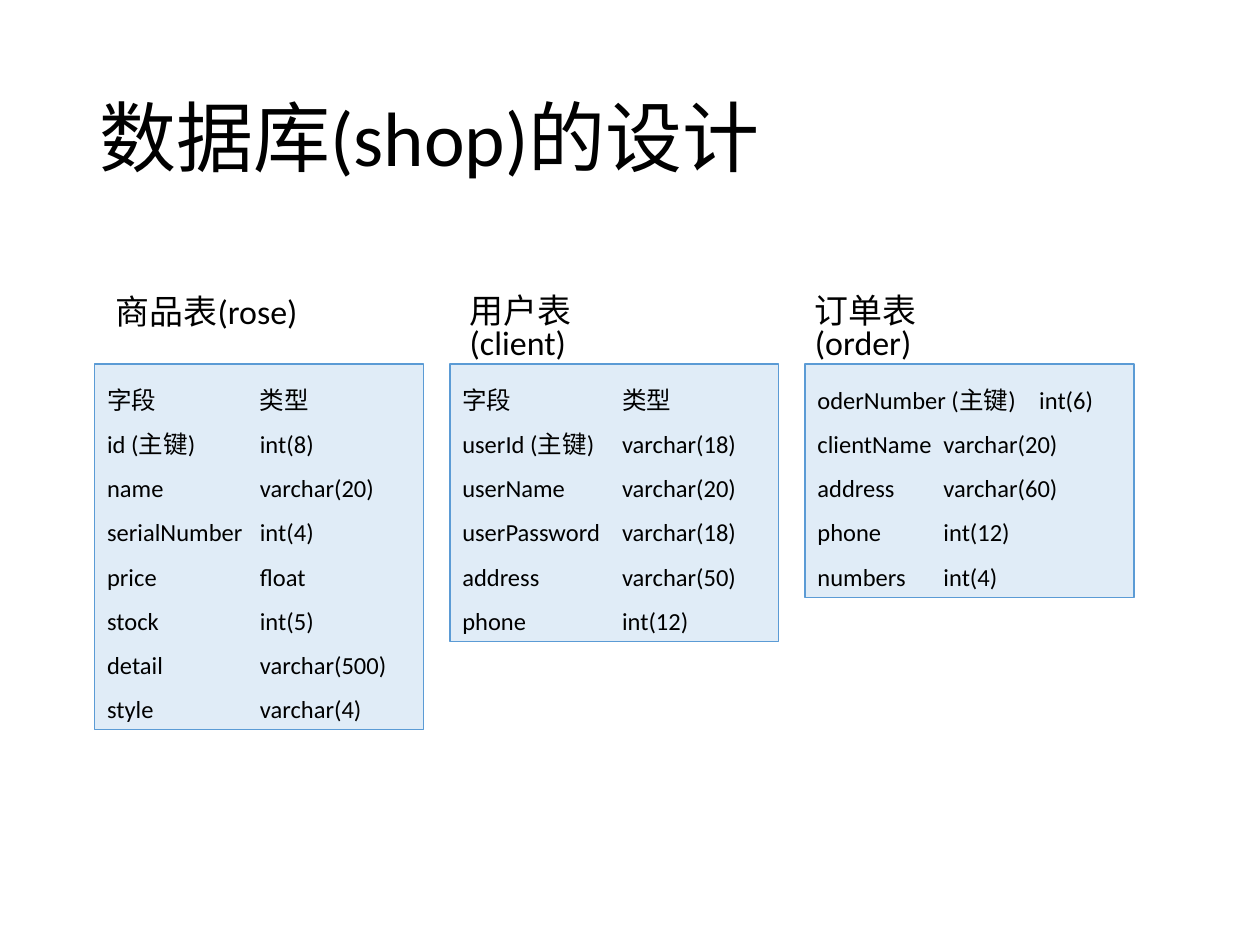
from lxml import etree
from pptx import Presentation
from pptx.dml.color import RGBColor
from pptx.enum.shapes import MSO_SHAPE
from pptx.enum.text import MSO_ANCHOR, MSO_AUTO_SIZE, PP_ALIGN
from pptx.oxml.ns import qn
from pptx.util import Cm, Pt

RECT = MSO_SHAPE.RECTANGLE
TOP, MIDDLE = MSO_ANCHOR.TOP, MSO_ANCHOR.MIDDLE
LEFT = PP_ALIGN.LEFT
GROW = MSO_AUTO_SIZE.SHAPE_TO_FIT_TEXT
BLUE, BLACK = "5B9BD5", "000000"


def color(code):
    return RGBColor.from_string(code)


def write(shape, lines, size, space, before=0, anchor=TOP, tabs=(), pad=(0.25, 0.13, 0.25, 0.13)):
    frame = shape.text_frame
    frame.word_wrap = True
    frame.vertical_anchor = anchor
    frame.margin_left, frame.margin_top, frame.margin_right, frame.margin_bottom = map(Cm, pad)
    for i, line in enumerate(lines):
        para = frame.paragraphs[0] if i == 0 else frame.add_paragraph()
        para.alignment = LEFT
        para.line_spacing = space
        para.space_before = Pt(before)
        if tabs:
            stops = etree.SubElement(para._p.get_or_add_pPr(), qn("a:tabLst"))
            for stop in tabs:
                etree.SubElement(stops, qn("a:tab"), pos=str(Cm(stop)), algn="l")
        run = para.add_run()
        run.text = line
        run.font.name = "Calibri"
        run.font.size = Pt(size)
        run.font.color.rgb = color(BLACK)


deck = Presentation()
deck.slide_width, deck.slide_height = Cm(25.4), Cm(19.05)
slide = deck.slides.add_slide(deck.slide_layouts[6])

title = slide.shapes.add_textbox(Cm(1.75), Cm(1.02), Cm(21.92), Cm(3.68))
write(title, ["数据库(shop)的设计"], 44, 0.9, anchor=MIDDLE)

heads = [
    ("商品表(rose)", 2.08, 1.02, (0.25, 0.13, 0.25, 0.13)),
    ("用户表(client)", 9.27, 1.22, (0.2, 0.1, 0.5, 0.1)),
    ("订单表(order)", 16.23, 1.24, (0.2, 0.1, 0.5, 0.1)),
]
for name, left, height, pad in heads:
    head = slide.shapes.add_textbox(Cm(left), Cm(5.89), Cm(4.55), Cm(height))
    write(head, [name], 19.4, 0.8, before=10, pad=pad)

tables = [
    (7.37, [3.08], [
        "字段\t类型", "id (主键)\tint(8)", "name\tvarchar(20)", "serialNumber\tint(4)",
        "price\tfloat", "stock\tint(5)", "detail\tvarchar(500)", "style\tvarchar(4)",
    ]),
    (5.59, [3.22], [
        "字段\t类型", "userId (主键)\tvarchar(18)", "userName\tvarchar(20)",
        "userPassword\tvarchar(18)", "address\tvarchar(50)", "phone\tint(12)",
    ]),
    (4.7, [2.54, 4.47], [
        "oderNumber (主键)\tint(6)", "clientName\tvarchar(20)", "address\tvarchar(60)",
        "phone\tint(12)", "numbers\tint(4)",
    ]),
]
for i, (height, tabs, rows) in enumerate(tables):
    box = slide.shapes.add_shape(RECT, Cm(1.91 + 7.16 * i), Cm(7.34), Cm(6.63), Cm(height))
    box.shadow.inherit = False
    box.fill.solid()
    box.fill.fore_color.rgb = color(BLUE)
    tint = box._element.spPr.find(qn("a:solidFill")).find(qn("a:srgbClr"))
    etree.SubElement(tint, qn("a:alpha"), val="19000")
    box.line.color.rgb = color(BLUE)
    box.line.width = Pt(0.75)
    write(box, rows, 14, 1.5, tabs=tabs)
    box.text_frame.auto_size = GROW

deck.save("out.pptx")
